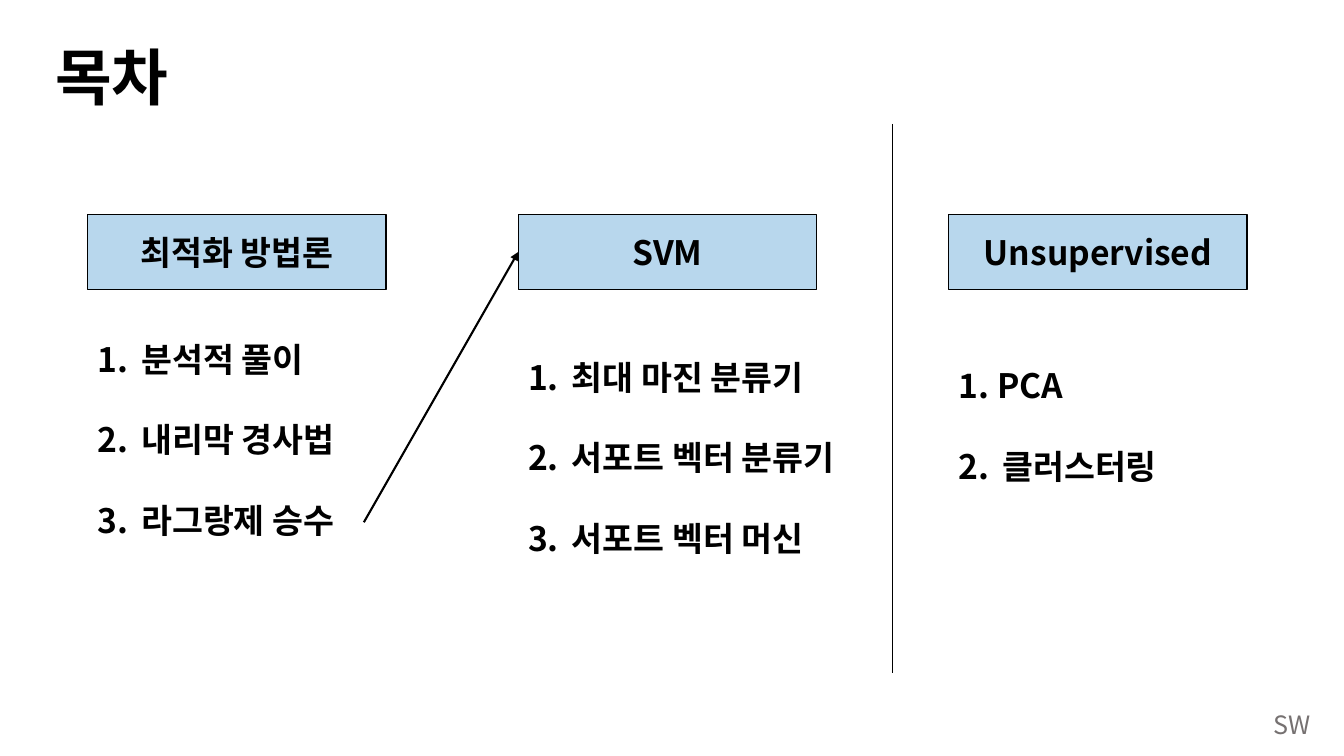
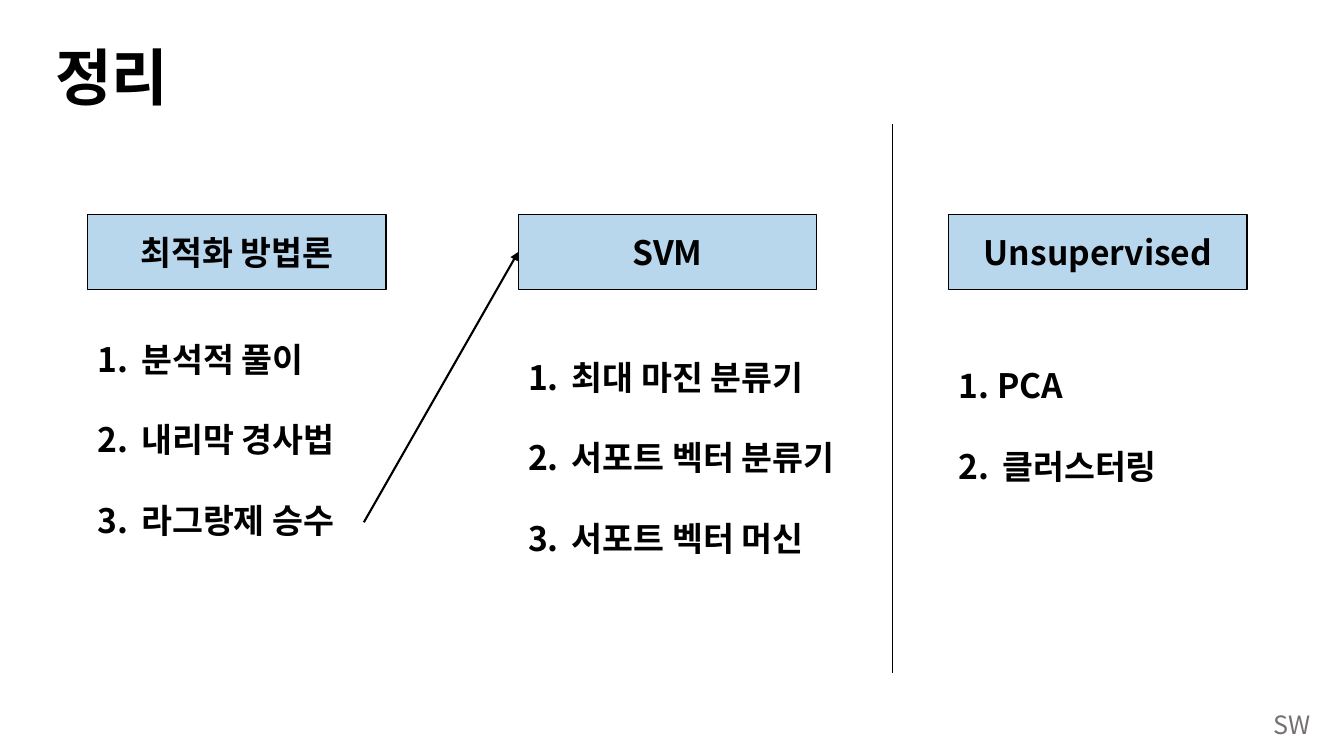
from lxml.etree import SubElement
from pptx import Presentation
from pptx.dml.color import RGBColor
from pptx.enum.shapes import MSO_CONNECTOR as CONNECTOR, MSO_SHAPE as SHAPE
from pptx.enum.text import MSO_ANCHOR as ANCHOR, PP_ALIGN as ALIGN
from pptx.oxml.ns import qn
from pptx.util import Cm, Pt

BLACK = RGBColor(0x00, 0x00, 0x00)
BLUE = RGBColor(0x00, 0x70, 0xC0)
GRAY = RGBColor(0x76, 0x71, 0x71)
SANS = "Noto Sans CJK KR"
SERIF = "Times New Roman"

SLIDE_W, SLIDE_H = 33.87, 19.05
TOPICS_LEFT, TOPICS_TOP, TOPIC_STEP = 2.21, 5.41, 10.85
TOPIC_W, TOPIC_H = 7.52, 1.88
NUMBER_TAB = 1.1

TOPICS = [
    ("최적화 방법론", 3.0, 6.96,
     ["1.\t분석적 풀이", "2.\t내리막 경사법", "3.\t라그랑제 승수"]),
    ("SVM", 3.45, 8.97,
     ["1.\t최대 마진 분류기", "2.\t서포트 벡터 분류기", "3.\t서포트 벡터 머신"]),
    ("Unsupervised", 3.66, 5.82, ["1. PCA", "2.\t클러스터링"]),
]


def write(shape, lines, size=24, font=SANS, color=BLACK, bold=True,
          align=ALIGN.LEFT, anchor=ANCHOR.TOP, gap=0, spacing=None, tab=None):
    """Write the lines as formatted paragraphs into the shape."""
    frame = shape.text_frame
    frame.word_wrap = True
    frame.vertical_anchor = anchor
    for index, line in enumerate(lines):
        paragraph = frame.add_paragraph() if index else frame.paragraphs[0]
        paragraph.alignment = align
        paragraph.line_spacing = spacing
        paragraph.space_after = Pt(gap)
        if tab:
            stops = SubElement(paragraph._p.get_or_add_pPr(), qn("a:tabLst"))
            SubElement(stops, qn("a:tab"), pos=str(Cm(tab)), algn="l")
        run = paragraph.add_run()
        run.text = line
        run.font.size = Pt(size)
        run.font.bold = bold
        run.font.name = font
        run.font.color.rgb = color
        SubElement(run._r.get_or_add_rPr(), qn("a:ea"), typeface=SANS)


def add_text(slide, left, top, width, height, lines, **style):
    """Add a text box with the given lines and format."""
    box = slide.shapes.add_textbox(Cm(left), Cm(top), Cm(width), Cm(height))
    write(box, lines, **style)


def add_line(slide, start, end, weight, arrow=False):
    """Add a black line, with an arrowhead at its end if asked."""
    points = [Cm(value) for value in (*start, *end)]
    line = slide.shapes.add_connector(CONNECTOR.STRAIGHT, *points)
    line.line.color.rgb = BLACK
    line.line.width = Pt(weight)
    if arrow:
        SubElement(line.line._get_or_add_ln(), qn("a:tailEnd"), type="triangle")
    SubElement(line._element.spPr, qn("a:effectLst"))


def add_topic(slide, left, top, heading, list_drop, list_width, items):
    """Add a heading box with its numbered list below."""
    box = slide.shapes.add_shape(
        SHAPE.RECTANGLE, Cm(left), Cm(top), Cm(TOPIC_W), Cm(TOPIC_H))
    box.shadow.inherit = False
    box.fill.solid()
    box.fill.fore_color.rgb = BLUE
    tint = box._element.spPr.find(qn("a:solidFill"))[0]
    SubElement(tint, qn("a:alpha"), val="28000")
    box.line.color.rgb = BLACK
    box.line.width = Pt(1)
    write(box, [heading], align=ALIGN.CENTER, anchor=ANCHOR.MIDDLE)
    add_text(slide, left, top + list_drop, list_width, 5.38, items,
             gap=28.8, tab=NUMBER_TAB)


def add_topic_map(slide, left, top):
    """Add the topics in equal steps, the arrow and the divider."""
    for column, topic in enumerate(TOPICS):
        add_topic(slide, left + column * TOPIC_STEP, top, *topic)
    add_line(slide, (left + TOPICS[0][2], top + 7.75),
             (left + TOPIC_STEP, top + TOPIC_H / 2), 1.5, arrow=True)
    divider = left + 20.27
    add_line(slide, (divider, top - 2.29), (divider, top + 11.56), 0.5)


def add_overview(deck, title):
    """Add one overview slide with title, topic map and footer."""
    slide = deck.slides.add_slide(deck.slide_layouts[6])
    add_text(slide, SLIDE_W - 2.02, SLIDE_H - 1.3, 1.52, 1.02, ["SW"],
             size=18, color=GRAY, bold=False)
    add_text(slide, 1.14, 0.18, 29.21, 3.68, [title], size=44, font=SERIF,
             anchor=ANCHOR.MIDDLE, spacing=0.9)
    add_topic_map(slide, TOPICS_LEFT, TOPICS_TOP)


def main():
    """Build and save the deck."""
    deck = Presentation()
    deck.slide_width, deck.slide_height = Cm(SLIDE_W), Cm(SLIDE_H)
    for title in ("목차", "정리"):
        add_overview(deck, title)
    deck.save("out.pptx")


if __name__ == "__main__":
    main()
